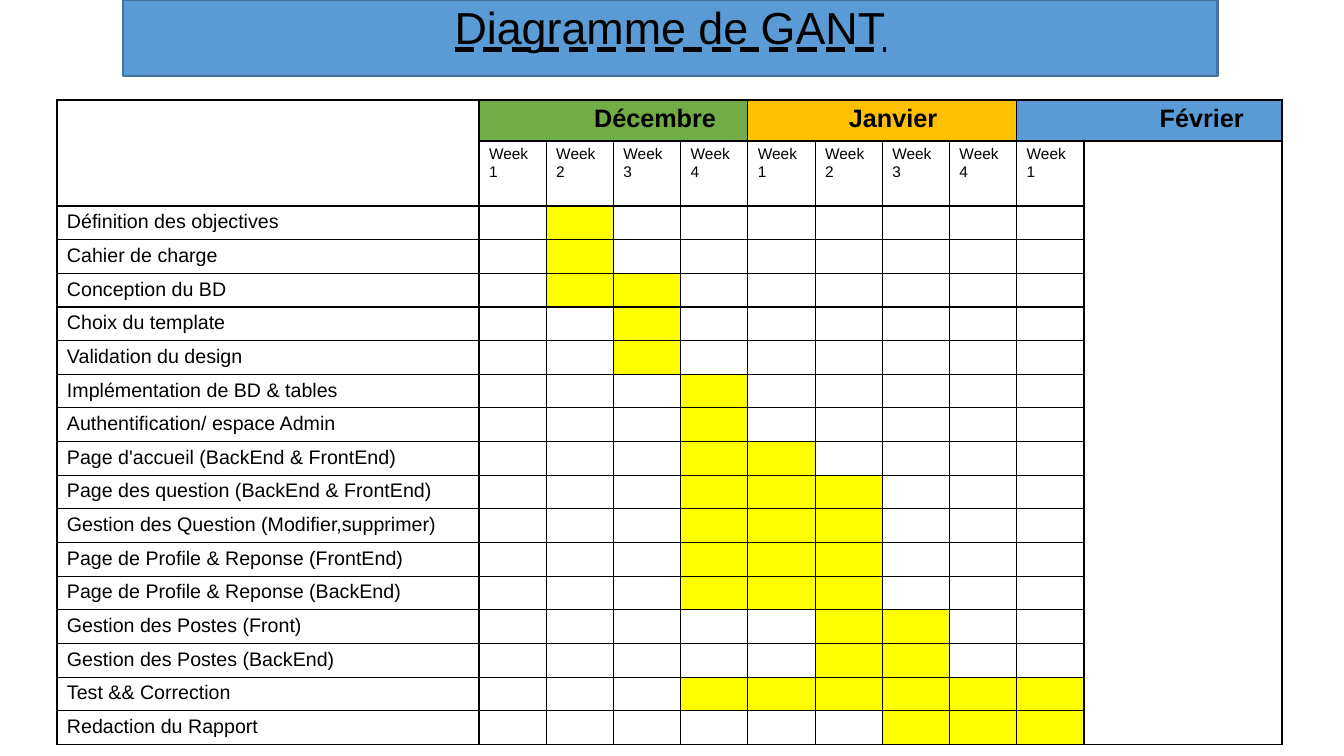
from pptx import Presentation
from pptx import util as u
from pptx.dml.color import RGBColor
from pptx.enum import shapes, text
from pptx.oxml import parse_xml
from pptx.oxml.ns import nsdecls

BLACK = RGBColor(0x00, 0x00, 0x00)
WHITE = RGBColor(0xFF, 0xFF, 0xFF)
BLUE = RGBColor(0x5B, 0x9B, 0xD5)
DARK_BLUE = RGBColor(0x43, 0x73, 0x9E)
GREEN = RGBColor(0x70, 0xAD, 0x47)
ORANGE = RGBColor(0xFF, 0xC0, 0x00)
YELLOW = RGBColor(0xFF, 0xFF, 0x00)

PX_PER_INCH = 100.8
WEEKS = 9
MONTHS = [
    ("Décembre", GREEN, 1, 4, 115),
    ("Janvier", ORANGE, 5, 8, 101),
    ("Février", BLUE, 9, 10, 143),
]
TASKS = [
    ("Définition des objectives", 2, 2),
    ("Cahier de charge", 2, 2),
    ("Conception du BD", 2, 3),
    ("Choix du template", 3, 3),
    ("Validation du design", 3, 3),
    ("Implémentation de BD & tables", 4, 4),
    ("Authentification/ espace Admin", 4, 4),
    ("Page d'accueil (BackEnd & FrontEnd)", 4, 5),
    ("Page des question (BackEnd & FrontEnd)", 4, 6),
    ("Gestion des Question (Modifier,supprimer)", 4, 6),
    ("Page de Profile & Reponse (FrontEnd)", 4, 6),
    ("Page de Profile & Reponse (BackEnd)", 4, 6),
    ("Gestion des Postes (Front)", 6, 7),
    ("Gestion des Postes (BackEnd)", 6, 7),
    ("Test && Correction", 4, 9),
    ("Redaction du Rapport", 7, 9),
]


def px(n):
    """Turn pixels into EMU."""
    return u.Inches(n / PX_PER_INCH)


def add_run(tf, words, size, bold=False):
    """Add a run to the first paragraph of a text frame."""
    r = tf.paragraphs[0].add_run()
    r.text = words
    r.font.name = "Arial"
    r.font.size = u.Pt(size)
    r.font.bold = bold
    r.font.color.rgb = BLACK
    return r


def fill_cell(cell, color):
    """Fill a cell and draw its four borders."""
    tc_pr = cell._tc.get_or_add_tcPr()
    for side in ("lnL", "lnR", "lnT", "lnB"):
        tc_pr.append(parse_xml(
            f'<a:{side} {nsdecls("a")} w="12700"><a:solidFill>'
            f'<a:srgbClr val="{BLACK}"/></a:solidFill></a:{side}>'))
    cell.fill.solid()
    cell.fill.fore_color.rgb = color
    cell.margin_top = cell.margin_bottom = 0


def write_cell(cell, words, size, bold=False, indent=10):
    """Write text into a cell at the given left indent."""
    cell.margin_left = px(indent)
    cell.margin_top = cell.margin_bottom = px(5)
    add_run(cell.text_frame, words, size, bold)


def add_title(s, x, y, w, h):
    """Draw the title banner."""
    sp = s.shapes.add_shape(shapes.MSO_SHAPE.RECTANGLE, px(x), px(y), px(w), px(h))
    sp.shadow.inherit = False
    sp.fill.solid()
    sp.fill.fore_color.rgb = BLUE
    sp.line.color.rgb = DARK_BLUE
    sp.line.width = u.Pt(2)
    tf = sp.text_frame
    tf.word_wrap = True
    tf.vertical_anchor = text.MSO_ANCHOR.MIDDLE
    tf.margin_top, tf.margin_bottom = 0, px(22)
    tf.paragraphs[0].alignment = text.PP_ALIGN.CENTER
    r = add_run(tf, "Diagramme de GANT", 32)
    r.font.underline = text.MSO_UNDERLINE.DASH_HEAVY_LINE


def add_gantt(s, x, y, w, h):
    """Draw the schedule table with its months, weeks and tasks."""
    label_w, weeks_w, month_h, week_h = 422, 605, 41, 65
    task_h = (h - month_h - week_h) / len(TASKS)
    widths = [label_w] + [weeks_w / WEEKS] * WEEKS + [w - label_w - weeks_w]
    heights = [month_h, week_h] + [task_h] * len(TASKS)
    table = s.shapes.add_table(len(heights), len(widths), px(x), px(y), px(w), px(h)).table
    table.first_row = table.horz_banding = False
    for column, width in zip(table.columns, widths):
        column.width = px(width)
    for row, height in zip(table.rows, heights):
        row.height = px(height)

    colors = {}
    for name, color, first, last, indent in MONTHS:
        colors.update({(0, col): color for col in range(first, last + 1)})
    for row, (name, first, last) in enumerate(TASKS, 2):
        colors.update({(row, col): YELLOW for col in range(first, last + 1)})
    for row in range(len(heights)):
        for col in range(len(widths)):
            fill_cell(table.cell(row, col), colors.get((row, col), WHITE))

    table.cell(0, 0).merge(table.cell(1, 0))
    table.cell(1, WEEKS + 1).merge(table.cell(len(heights) - 1, WEEKS + 1))
    for name, color, first, last, indent in MONTHS:
        table.cell(0, first).merge(table.cell(0, last))
        write_cell(table.cell(0, first), name, 18, True, indent)
    for week in range(WEEKS):
        write_cell(table.cell(1, week + 1), f"Week {week % 4 + 1}", 11)
    for row, (name, first, last) in enumerate(TASKS, 2):
        write_cell(table.cell(row, 0), name, 14)


def main():
    """Build and save the slide."""
    prs = Presentation()
    prs.slide_width, prs.slide_height = u.Inches(13.33), u.Inches(7.5)
    s = prs.slides.add_slide(prs.slide_layouts[6])
    add_gantt(s, 57, 100, 1225, 645)
    add_title(s, 123, 0, 1094, 76)
    prs.save("out.pptx")


if __name__ == "__main__":
    main()
